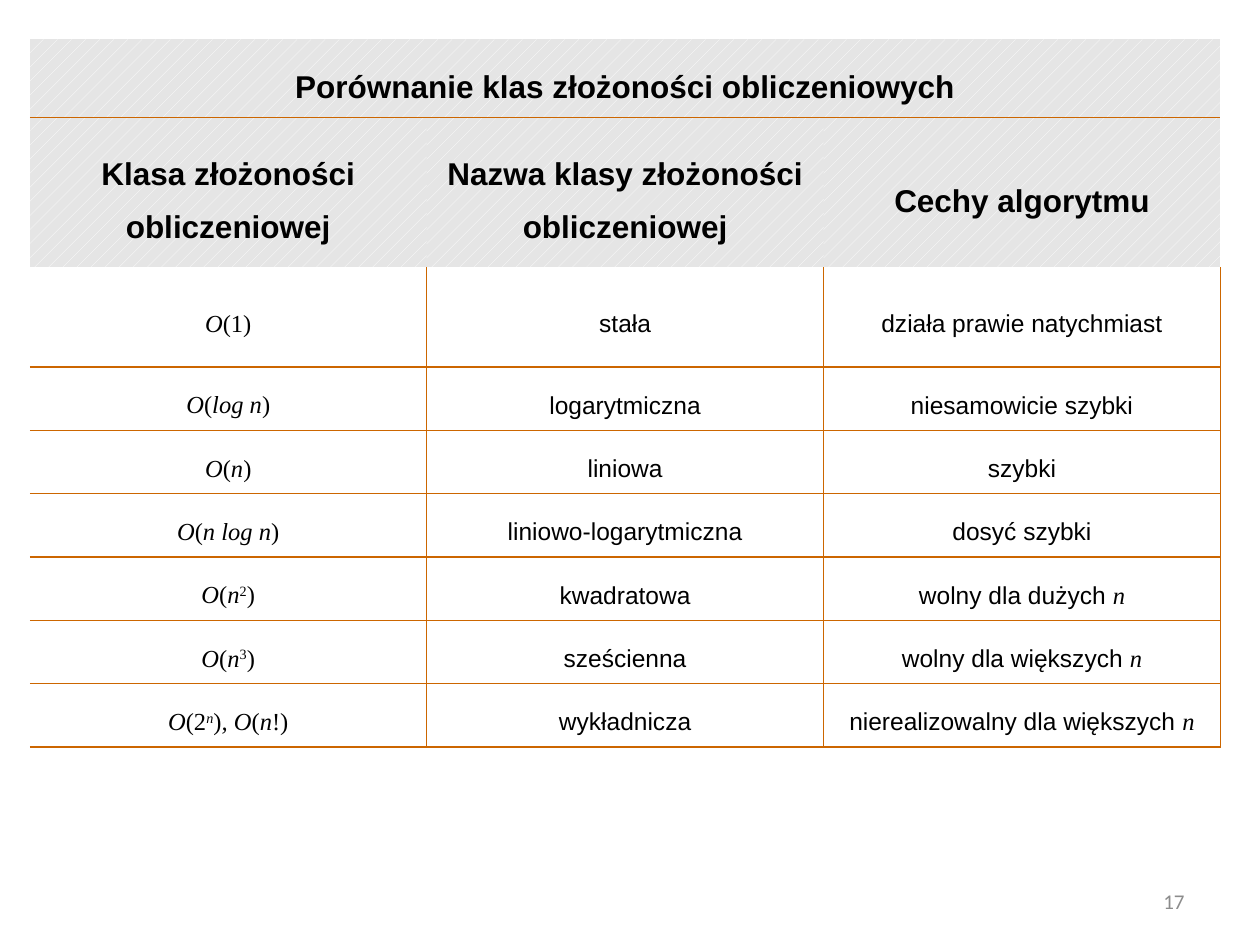
import pptx
import pptx.util
import pptx.dml.color
import pptx.enum.dml
import pptx.enum.text
import pptx.oxml
import pptx.oxml.ns

Pt = pptx.util.Pt
ALIGN = pptx.enum.text.PP_ALIGN
MIDDLE = pptx.enum.text.MSO_ANCHOR.MIDDLE

ORANGE, WHITE, GREY, BLACK, NUMBER_GREY = "CC6600", "FFFFFF", "E5E5E5", "000000", "8C8C8C"
STYLES = {
    "plain": ("Arial", False, False),
    "math": ("Times New Roman", True, False),
    "upright": ("Times New Roman", False, False),
    "power": ("Times New Roman", False, True),
    "math power": ("Times New Roman", True, True),
}

TITLE = "Porównanie klas złożoności obliczeniowych"
HEADINGS = [
    "Klasa złożoności\nobliczeniowej",
    "Nazwa klasy złożoności\nobliczeniowej",
    "Cechy algorytmu",
]
O = ("O", "math")
N = ("n", "math")
OPEN, CLOSE = ("(", "upright"), (")", "upright")
CLASSES = [
    ([O, ("(1)", "upright")], "stała", [("działa prawie natychmiast", "plain")]),
    ([O, OPEN, ("log n", "math"), CLOSE], "logarytmiczna", [("niesamowicie szybki", "plain")]),
    ([O, OPEN, N, CLOSE], "liniowa", [("szybki", "plain")]),
    ([O, OPEN, ("n log n", "math"), CLOSE], "liniowo-logarytmiczna", [("dosyć szybki", "plain")]),
    ([O, OPEN, N, ("2", "power"), CLOSE], "kwadratowa", [("wolny dla dużych ", "plain"), N]),
    ([O, OPEN, N, ("3", "power"), CLOSE], "sześcienna", [("wolny dla większych ", "plain"), N]),
    ([O, ("(2", "upright"), ("n", "math power"), CLOSE, (", O", "math"), OPEN, N, ("!)", "upright")],
     "wykładnicza", [("nierealizowalny dla większych ", "plain"), N]),
]
COLUMN_WIDTH = 226.8
ROW_HEIGHTS = [44.6, 85.7, 56.9] + [36.2] * 6


def color(value):
    return pptx.dml.color.RGBColor.from_string(value)


def format_run(run, size, font="Arial", fill=BLACK, bold=False, italic=False):
    run.font.size = Pt(size)
    run.font.name = font
    run.font.bold = bold
    run.font.italic = italic
    run.font.color.rgb = color(fill)


def set_borders(cell, visible):
    properties = cell._tc.get_or_add_tcPr()
    namespace = pptx.oxml.ns.nsdecls("a")
    for side in "LRTB":
        paint = f'<a:solidFill><a:srgbClr val="{ORANGE}"/></a:solidFill>' if side in visible else "<a:noFill/>"
        properties.append(pptx.oxml.parse_xml(f'<a:ln{side} {namespace} w="{Pt(1)}">{paint}</a:ln{side}>'))


def prepare_cell(cell, borders):
    cell.margin_left = cell.margin_right = Pt(2.9)
    cell.margin_top = cell.margin_bottom = Pt(0.7)
    cell.vertical_anchor = MIDDLE
    set_borders(cell, borders)
    paragraph = cell.text_frame.paragraphs[0]
    paragraph.alignment = ALIGN.CENTER
    paragraph.line_spacing = 1.5
    return paragraph


def fill_heading(cell, text, borders):
    paragraph = prepare_cell(cell, borders)
    paragraph.space_before = paragraph.space_after = Pt(2.2)
    paragraph.text = text
    for run in paragraph.runs:
        format_run(run, 18, bold=True)
    cell.fill.patterned()
    cell.fill.pattern = pptx.enum.dml.MSO_PATTERN.PERCENT_10
    cell.fill.fore_color.rgb = color(WHITE)
    cell.fill.back_color.rgb = color(GREY)


def fill_body(cell, pieces, borders):
    paragraph = prepare_cell(cell, borders)
    for text, style in pieces:
        font, italic, raised = STYLES[style]
        run = paragraph.add_run()
        run.text = text
        format_run(run, 14, font, italic=italic)
        if raised:
            run._r.get_or_add_rPr().set("baseline", "30000")
    cell.fill.solid()
    cell.fill.fore_color.rgb = color(WHITE)


def add_comparison(slide):
    frame = slide.shapes.add_table(
        len(ROW_HEIGHTS), 3, Pt(17), Pt(22.5), Pt(3 * COLUMN_WIDTH), Pt(sum(ROW_HEIGHTS)))
    table = frame.table
    table.first_row = table.horz_banding = False
    for column in table.columns:
        column.width = Pt(COLUMN_WIDTH)
    for row, height in zip(table.rows, ROW_HEIGHTS):
        row.height = Pt(height)
    table.cell(0, 0).merge(table.cell(0, 2))
    fill_heading(table.cell(0, 0), TITLE, "B")
    for index, heading in enumerate(HEADINGS):
        fill_heading(table.cell(1, index), heading, "T")
    for row_index, (formula, name, feature) in enumerate(CLASSES, start=2):
        top = "T" if row_index > 2 else ""
        for index, pieces in enumerate([formula, [(name, "plain")], feature]):
            left = "L" if index else ""
            fill_body(table.cell(row_index, index), pieces, left + top + "RB")


def add_page_number(slide):
    box = slide.shapes.add_textbox(Pt(516), Pt(500.5), Pt(168), Pt(28.8))
    text_frame = box.text_frame
    text_frame.word_wrap = True
    text_frame.vertical_anchor = MIDDLE
    text_frame.text = "17"
    paragraph = text_frame.paragraphs[0]
    paragraph.alignment = ALIGN.RIGHT
    format_run(paragraph.runs[0], 12, "Calibri", NUMBER_GREY)


def main():
    presentation = pptx.Presentation()
    presentation.slide_width = Pt(720)
    presentation.slide_height = Pt(540)
    slide = presentation.slides.add_slide(presentation.slide_layouts[6])
    add_page_number(slide)
    add_comparison(slide)
    presentation.save("out.pptx")


if __name__ == "__main__":
    main()
